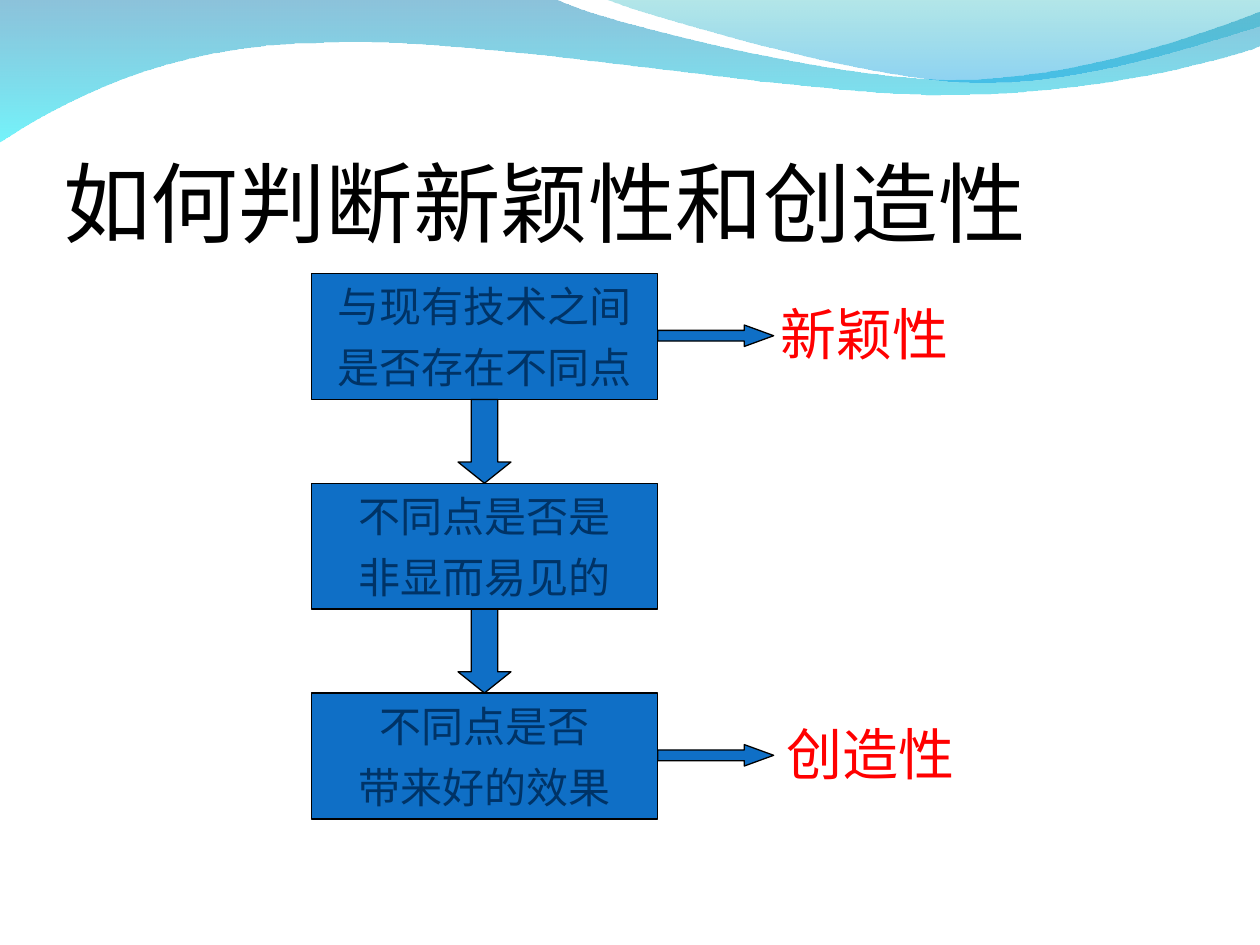
from lxml import etree
from pptx import Presentation
from pptx.dml.color import RGBColor
from pptx.enum.shapes import MSO_SHAPE
from pptx.enum.text import MSO_ANCHOR, MSO_AUTO_SIZE, PP_ALIGN
from pptx.oxml.ns import qn
from pptx.util import Inches, Pt

RECTANGLE, DOWN_ARROW, RIGHT_ARROW = MSO_SHAPE.RECTANGLE, MSO_SHAPE.DOWN_ARROW, MSO_SHAPE.RIGHT_ARROW
MIDDLE, BOTTOM = MSO_ANCHOR.MIDDLE, MSO_ANCHOR.BOTTOM
LEFT, CENTER = PP_ALIGN.LEFT, PP_ALIGN.CENTER
FIT_SHAPE, NO_FIT = MSO_AUTO_SIZE.SHAPE_TO_FIT_TEXT, MSO_AUTO_SIZE.NONE

BLACK = RGBColor(0x00, 0x00, 0x00)
BLUE = RGBColor(0x0F, 0x6F, 0xC6)
NAVY = RGBColor(0x00, 0x33, 0x66)
RED = RGBColor(0xFF, 0x00, 0x00)
WAVE_BLUE = RGBColor(0x00, 0x79, 0xAF)
WAVE_CYAN = RGBColor(0x00, 0xEB, 0xF8)
WAVE_TEAL = RGBColor(0x00, 0xAD, 0xB6)
WAVE_SKY = RGBColor(0x00, 0x9B, 0xE5)

TITLE_FONT, BODY_FONT = "Calibri", "DejaVu Sans"

LONG_WAVE = [
    [(0, -0.01)], [(4.4, -0.01)],
    [(4.76, 0.17), (6.64, 0.63), (7.58, 0.63)],
    [(8.53, 0.63), (9.58, 0.26), (10, 0.09)],
    [(10.01, 0.36)],
    [(9.83, 0.44), (8.7, 0.76), (7.46, 0.75)],
    [(6.22, 0.75), (3.82, 0.28), (2.57, 0.34)],
    [(1.29, 0.35), (0.46, 0.83), (-0.01, 1.13)],
]
SHORT_WAVE = [
    [(4.79, -0.01)],
    [(5.09, 0.11), (6.82, 0.62), (7.69, 0.65)],
    [(8.56, 0.69), (9.61, 0.32), (10, 0.21)],
    [(10, 0)],
]
STEPS = [
    (("与现有技术之间", "是否存在不同点"), "新颖性", 6.1),
    (("不同点是否是", "非显而易见的"), None, None),
    (("不同点是否", "带来好的效果"), "创造性", 6.14),
]


def add_text(paragraph, text, size, font, color):
    """Add one formatted run to a paragraph."""
    run = paragraph.add_run()
    run.text = text
    run.font.size = Pt(size)
    run.font.name = font
    run.font.color.rgb = color


def bend_outline(wave, segments):
    """Join the lines of each three-point segment into one cubic curve."""
    outline = next(wave._element.iter(qn("a:path")))
    lines = iter(outline.findall(qn("a:lnTo")))
    for segment in segments[1:]:
        parts = [next(lines) for _ in segment]
        if len(parts) == 3:
            curve = etree.Element(qn("a:cubicBezTo"))
            parts[0].addprevious(curve)
            for part in parts:
                curve.append(part[0])
                outline.remove(part)


def add_wave(slide, segments, stops):
    """Draw a wave with a translucent gradient running downwards."""
    start, *rest = [(Inches(x), Inches(y)) for segment in segments for x, y in segment]
    builder = slide.shapes.build_freeform(*start)
    builder.add_line_segments(rest, close=True)
    wave = builder.convert_to_shape()
    bend_outline(wave, segments)
    wave.shadow.inherit = False
    wave.line.fill.background()
    wave.fill.gradient()
    wave.fill.gradient_angle = 270
    for stop, (color, _) in zip(wave.fill.gradient_stops, stops):
        stop.color.rgb = color
    colors = list(wave._element.spPr.iter(qn("a:srgbClr")))
    for color_element, (_, opacity) in zip(colors, stops):
        etree.SubElement(color_element, qn("a:alpha")).set("val", str(opacity * 1000))


def add_title(slide, text, left, top, width, height):
    """Place and format the title placeholder in front of the waves."""
    title = slide.shapes.title
    slide.shapes._spTree.append(title._element)
    title.left, title.top = Inches(left), Inches(top)
    title.width, title.height = Inches(width), Inches(height)
    frame = title.text_frame
    frame.auto_size = NO_FIT
    frame.vertical_anchor = BOTTOM
    frame.margin_left = frame.margin_right = frame.margin_bottom = 0
    frame.margin_top = Inches(0.05)
    frame.paragraphs[0].alignment = LEFT
    add_text(frame.paragraphs[0], text, 50, TITLE_FONT, BLACK)


def add_block(slide, preset, left, top, width, height):
    """Add a blue preset shape with a thin black line."""
    block = slide.shapes.add_shape(preset, Inches(left), Inches(top), Inches(width), Inches(height))
    block.shadow.inherit = False
    block.fill.solid()
    block.fill.fore_color.rgb = BLUE
    block.line.color.rgb = BLACK
    block.line.width = Pt(0.75)
    return block


def add_arrow(slide, preset, head, left, top, width, height):
    """Add a block arrow whose head length is relative to its short side."""
    arrow = add_block(slide, preset, left, top, width, height)
    arrow.adjustments[0] = 0.5
    arrow.adjustments[1] = head


def add_question(slide, lines, left, top, width, height):
    """Add a question box with one centred paragraph per line."""
    frame = add_block(slide, RECTANGLE, left, top, width, height).text_frame
    frame.word_wrap = False
    frame.vertical_anchor = MIDDLE
    for index, line in enumerate(lines):
        paragraph = frame.add_paragraph() if index else frame.paragraphs[0]
        paragraph.alignment = CENTER
        paragraph.space_before = Pt(6 if index else 0)
        add_text(paragraph, line, 24, BODY_FONT, NAVY)


def add_criterion(slide, text, left, top, width, height):
    """Add the red name of the criterion that a question decides."""
    label = slide.shapes.add_textbox(Inches(left), Inches(top), Inches(width), Inches(height))
    frame = label.text_frame
    frame.word_wrap = False
    frame.auto_size = FIT_SHAPE
    add_text(frame.paragraphs[0], text, 32, BODY_FONT, RED)


def add_flow(slide, left, top, width, height):
    """Stack the questions evenly, with arrows down and out to the criteria."""
    box_height = 1
    pitch = (height - box_height) / (len(STEPS) - 1)
    right, center = left + width, left + width / 2
    for index, (lines, criterion, label_left) in enumerate(STEPS):
        box_top = top + index * pitch
        middle = box_top + box_height / 2
        add_question(slide, lines, left, box_top, width, box_height)
        if index < len(STEPS) - 1:
            add_arrow(slide, DOWN_ARROW, 0.4, center - 0.21, box_top + box_height,
                      0.42, pitch - box_height)
        if criterion:
            add_arrow(slide, RIGHT_ARROW, 1.37, right, middle - 0.09, 0.92, 0.17)
            add_criterion(slide, criterion, label_left, middle - 0.34, 1.56, 0.64)


def main():
    """Build the slide and save it."""
    presentation = Presentation()
    presentation.slide_width, presentation.slide_height = Inches(10), Inches(7.5)
    slide = presentation.slides.add_slide(presentation.slide_layouts[5])
    add_wave(slide, LONG_WAVE, [(WAVE_BLUE, 45), (WAVE_CYAN, 55)])
    add_wave(slide, SHORT_WAVE, [(WAVE_TEAL, 30), (WAVE_SKY, 45)])
    add_title(slide, "如何判断新颖性和创造性", 0.5, 0.77, 9, 1.25)
    add_flow(slide, 2.47, 2.17, 2.75, 4.33)
    presentation.save("out.pptx")


if __name__ == "__main__":
    main()
